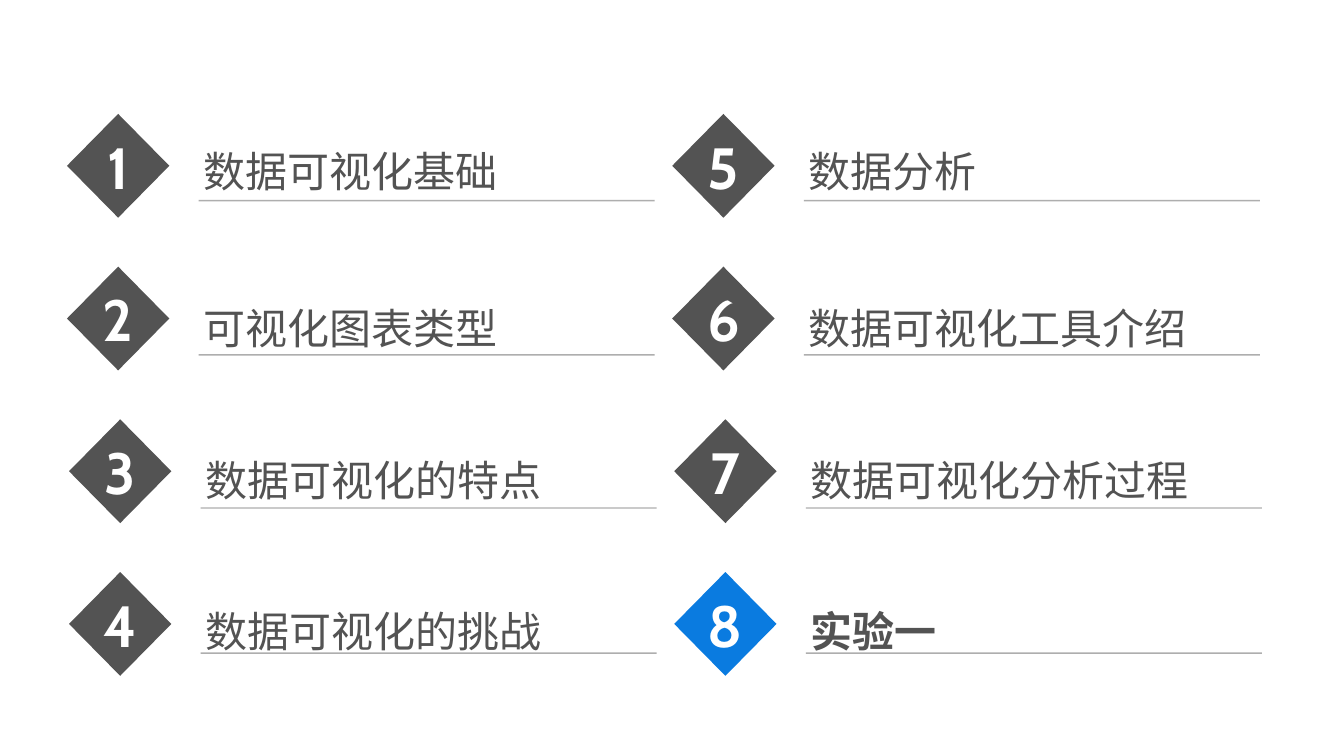
from lxml import etree
from pptx import Presentation
from pptx.dml.color import RGBColor
from pptx.enum.shapes import MSO_CONNECTOR, MSO_SHAPE
from pptx.enum.text import MSO_ANCHOR, MSO_AUTO_SIZE, PP_ALIGN
from pptx.oxml.ns import qn
from pptx.util import Inches, Pt

STRAIGHT = MSO_CONNECTOR.STRAIGHT
DIAMOND = MSO_SHAPE.DIAMOND
MIDDLE = MSO_ANCHOR.MIDDLE
CENTER = PP_ALIGN.CENTER
FIT_SHAPE = MSO_AUTO_SIZE.SHAPE_TO_FIT_TEXT

GRAY, BLUE, WHITE, RULE_GRAY = "535353", "0A7BE0", "FFFFFF", "5E5E5E"

TOPICS = [
    "数据可视化基础", "可视化图表类型", "数据可视化的特点", "数据可视化的挑战",
    "数据分析", "数据可视化工具介绍", "数据可视化分析过程", "实验一",
]
CURRENT = 8

# Grid in inches: topics run down the first column, then the second
LEFT, TOP = 1.33, 2.26
COLUMN_PITCH, ROW_PITCH = 12.01, 3.03
ROW_SHIFTS = [0, 0, 0.04, 0.04]
TITLE_TOPS = [2.79, 5.9, 8.91, 11.91]
RULE_TOPS = [3.98, 7.04, 10.08, 12.96]
TITLE_OFFSET = 2.61
MARGINS = {f"margin_{side}": Inches(0.1) for side in ("left", "right", "top", "bottom")}


def color(value):
    return RGBColor.from_string(value)


def apply_format(target, values):
    for name, value in values.items():
        setattr(target, name, value)


def write_text(shape, text, text_color, font, frame):
    text_frame = shape.text_frame
    apply_format(text_frame, MARGINS | frame)
    run = text_frame.paragraphs[0].add_run()
    run.text = text
    apply_format(run.font, font)
    run.font.color.rgb = color(text_color)


def add_number(slide, left, top, number, fill):
    shape = slide.shapes.add_shape(DIAMOND, Inches(left), Inches(top), Inches(2.03), Inches(2.06))
    shape.shadow.inherit = False
    shape.fill.solid()
    shape.fill.fore_color.rgb = color(fill)
    shape.line.fill.background()
    write_text(shape, str(number), WHITE, {"name": "Cabin", "size": Pt(83), "bold": True},
               {"vertical_anchor": MIDDLE})
    shape.text_frame.paragraphs[0].alignment = CENTER


def add_title(slide, left, top, text, bold):
    box = slide.shapes.add_textbox(Inches(left), Inches(top), Inches(9.26), Inches(1.21))
    write_text(box, text, GRAY, {"name": "Roboto", "size": Pt(60), "bold": bold},
               {"word_wrap": True, "auto_size": FIT_SHAPE})


def add_rule(slide, left, top):
    """Draw a half-transparent line under a title."""
    rule = slide.shapes.add_connector(
        STRAIGHT, Inches(left), Inches(top), Inches(left + 9.05), Inches(top))
    rule.line.width = Pt(2)
    rule.line.color.rgb = color(RULE_GRAY)
    properties = rule._element.spPr
    rgb = properties.find(".//" + qn("a:srgbClr"))
    etree.SubElement(rgb, qn("a:alpha"), val="50000")
    etree.SubElement(properties, qn("a:effectLst"))


def add_topic(slide, number, title):
    column, row = divmod(number - 1, len(ROW_SHIFTS))
    left = LEFT + column * COLUMN_PITCH + ROW_SHIFTS[row]
    is_current = number == CURRENT
    add_title(slide, left + TITLE_OFFSET, TITLE_TOPS[row], title, is_current)
    add_number(slide, left, TOP + row * ROW_PITCH, number, BLUE if is_current else GRAY)
    add_rule(slide, left + TITLE_OFFSET, RULE_TOPS[row])


def main():
    presentation = Presentation()
    presentation.slide_width = Inches(26.67)
    presentation.slide_height = Inches(15)
    slide = presentation.slides.add_slide(presentation.slide_layouts[6])
    for number, title in enumerate(TOPICS, start=1):
        add_topic(slide, number, title)
    presentation.save("out.pptx")


if __name__ == "__main__":
    main()
